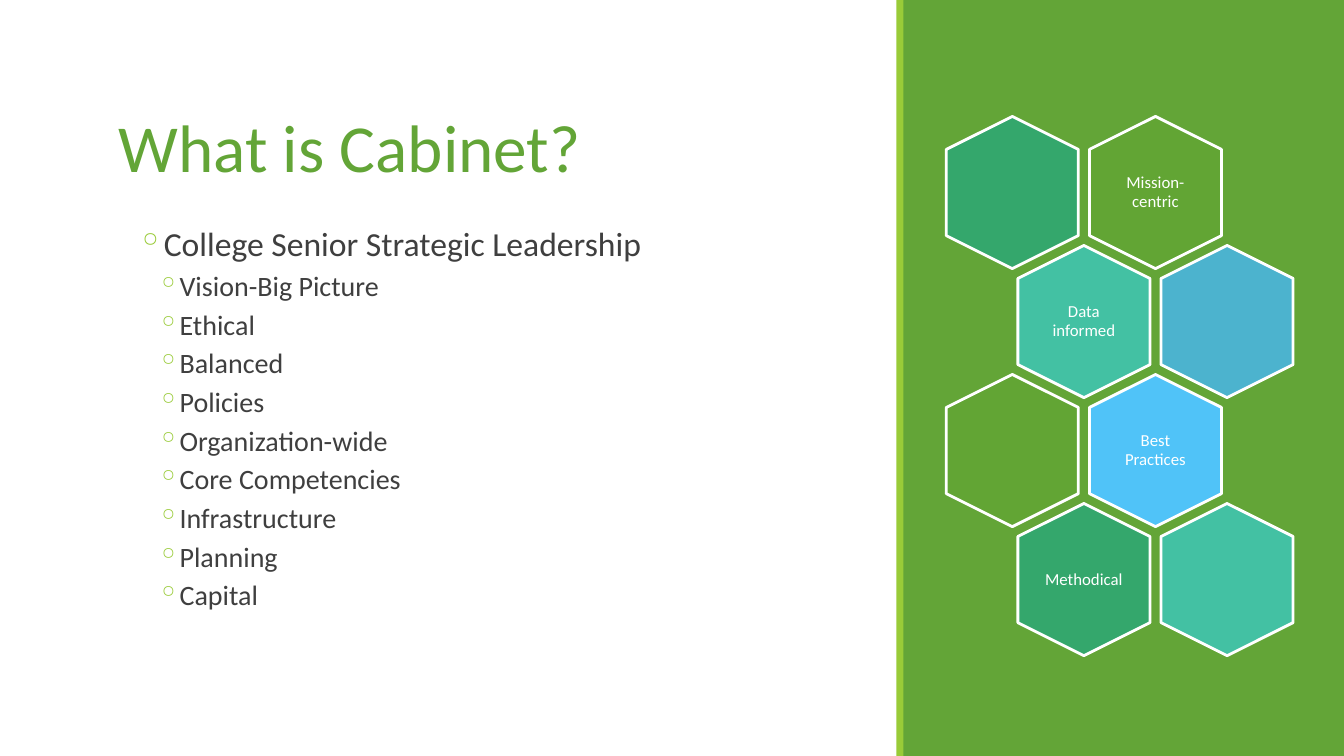
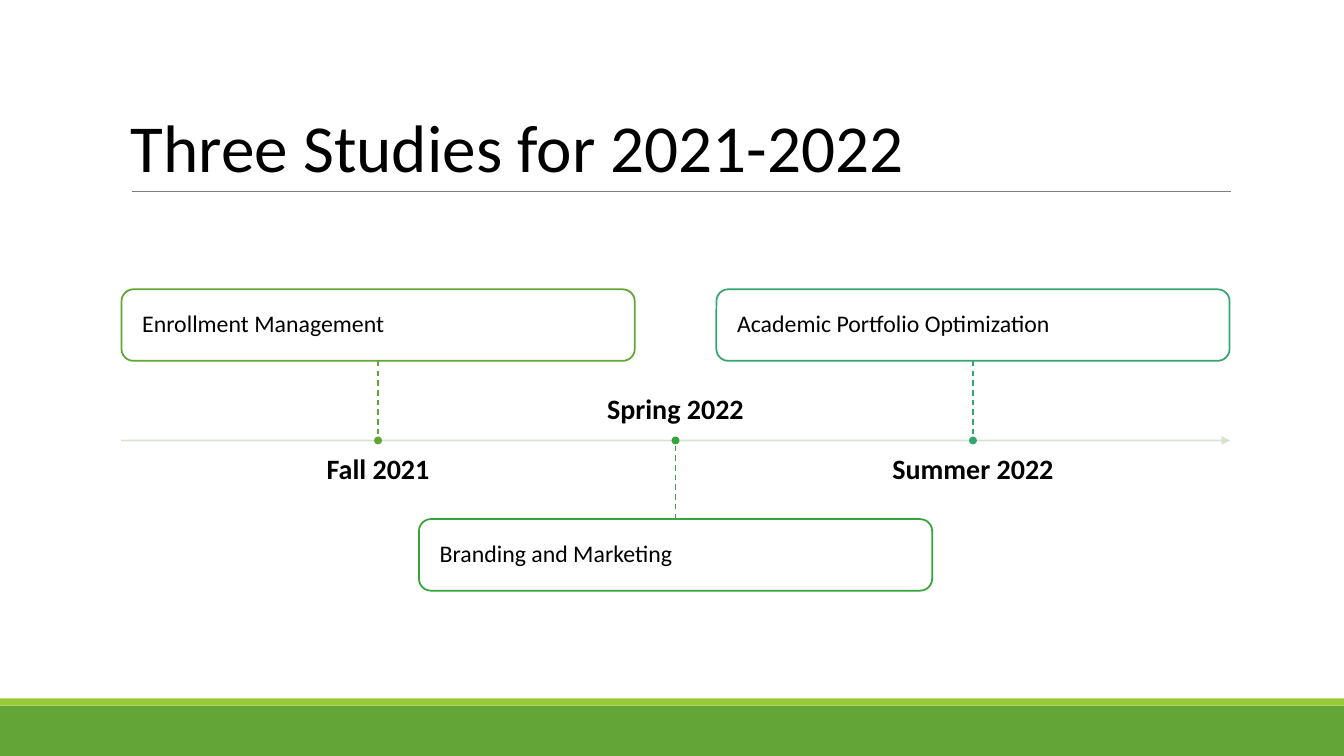
from dataclasses import dataclass

from pptx import Presentation
from pptx.dml.color import RGBColor
from pptx.enum.dml import MSO_LINE
from pptx.enum.shapes import MSO_CONNECTOR, MSO_SHAPE
from pptx.enum.text import MSO_ANCHOR, PP_ALIGN
from pptx.oxml.ns import qn
from pptx.oxml.xmlchemy import OxmlElement
from pptx.util import Inches, Pt


@dataclass(frozen=True)
class Theme:
    font: str = "Calibri"
    white: str = "FFFFFF"
    black: str = "000000"
    body: str = "3F3F3F"
    green: str = "63A537"
    lime: str = "99CB38"
    rule: str = "7F7F7F"
    axis: str = "D2E0CC"
    leaf: str = "62A534"
    emerald: str = "34A76C"
    mint: str = "43C1A3"
    teal: str = "4CB3CE"
    sky: str = "50C3F8"
    fern: str = "35A53B"
    jade: str = "35A66F"
    title_size: int = 48
    lead_size: int = 24
    list_size: int = 20
    date_size: int = 20
    study_size: int = 17
    hexagon_size: int = 12


THEME = Theme()
SLIDE_WIDTH, SLIDE_HEIGHT = 13.33, 7.5
BAND = 0.07


def rgb(value):
    return RGBColor.from_string(value)


def set_opacity(properties, percent):
    """Make the solid colour below these properties partly transparent."""
    alpha = OxmlElement("a:alpha")
    alpha.set("val", str(percent * 1000))
    properties.find(qn("a:solidFill"))[0].append(alpha)


# Basic elements
def add_shape(page, kind, place, fill, line=None, width=1.25):
    shape = page.shapes.add_shape(kind, *map(Inches, place))
    shape.shadow.inherit = False
    shape.fill.solid()
    shape.fill.fore_color.rgb = rgb(fill)
    if line:
        shape.line.color.rgb = rgb(line)
        shape.line.width = Pt(width)
    else:
        shape.line.fill.background()
    return shape


def add_line(page, start, end, color, width):
    line = page.shapes.add_connector(MSO_CONNECTOR.STRAIGHT, *map(Inches, start + end))
    line.line.color.rgb = rgb(color)
    line.line.width = Pt(width)
    line._element.spPr.append(OxmlElement("a:effectLst"))
    return line


def set_frame(frame, margins, anchor):
    frame.word_wrap = True
    frame.vertical_anchor = anchor
    frame.margin_left = frame.margin_right = Inches(margins[0])
    frame.margin_top = frame.margin_bottom = Inches(margins[1])


def format_paragraph(paragraph, size, color, align=PP_ALIGN.LEFT, bold=False, spacing=0.9):
    paragraph.alignment = align
    paragraph.line_spacing = spacing
    for span in paragraph.runs:
        span.font.name = THEME.font
        span.font.size = Pt(size)
        span.font.bold = bold
        span.font.color.rgb = rgb(color)


def add_text(page, place, text, size, color, margins=(0, 0),
             anchor=MSO_ANCHOR.TOP, **style):
    box = page.shapes.add_textbox(*map(Inches, place))
    set_frame(box.text_frame, margins, anchor)
    box.text_frame.text = text
    for paragraph in box.text_frame.paragraphs:
        format_paragraph(paragraph, size, color, **style)
    return box


# Parts shared by the slides
def add_title(page, left, width, text, color):
    add_text(page, (left, 0.31, width, 1.59), text, THEME.title_size, color,
             (0.1, 0.05), MSO_ANCHOR.BOTTOM, spacing=0.85)


def add_band(page, panel, edge):
    add_shape(page, MSO_SHAPE.RECTANGLE, panel, THEME.green)
    add_shape(page, MSO_SHAPE.RECTANGLE, edge, THEME.lime)


# Bulleted list
def add_bullet(paragraph, indent):
    properties = paragraph._p.get_or_add_pPr()
    properties.set("marL", str(Inches(indent)))
    properties.set("indent", str(Inches(-0.2)))
    bullet_color = OxmlElement("a:buClr")
    value = OxmlElement("a:srgbClr")
    value.set("val", THEME.lime)
    bullet_color.append(value)
    bullet = OxmlElement("a:buChar")
    bullet.set("char", "◦")
    properties.extend([bullet_color, bullet])


def add_list(page, place, lead, items):
    box = page.shapes.add_textbox(*map(Inches, place))
    frame = box.text_frame
    set_frame(frame, (0, 0.05), MSO_ANCHOR.TOP)
    frame.text = "\n".join([lead, *items])
    for index, paragraph in enumerate(frame.paragraphs):
        add_bullet(paragraph, 0.62 if index else 0.42)
        if index:
            paragraph.level = 1
            paragraph.space_before = Pt(6)
        format_paragraph(paragraph, THEME.list_size if index else THEME.lead_size, THEME.body)


# Honeycomb of values
def add_hexagon(page, center_x, center_y, fill, label):
    length, breadth = 1.51, 1.31
    place = (center_x - length / 2, center_y - breadth / 2, length, breadth)
    hexagon = add_shape(page, MSO_SHAPE.HEXAGON, place, fill, THEME.white, 2)
    hexagon.adjustments[0] = 0.25
    hexagon.rotation = 90
    if label:
        add_text(page, (center_x - 0.45, center_y - 0.52, 0.9, 1.04), label,
                 THEME.hexagon_size, THEME.white, (0.05, 0.05),
                 MSO_ANCHOR.MIDDLE, align=PP_ALIGN.CENTER)


def add_honeycomb(page, rows):
    for row, cells in enumerate(rows):
        for column, (fill, label) in enumerate(cells):
            center_x = 10.04 + 1.42 * column + 0.71 * (row % 2)
            add_hexagon(page, center_x, 1.91 + 1.28 * row, fill, label)


# Timeline
def add_axis(page, left, right, level):
    axis = add_line(page, (left, level), (right, level), THEME.axis, 1.25)
    outline = axis._element.spPr.find(qn("a:ln"))
    set_opacity(outline, 90)
    arrowhead = OxmlElement("a:tailEnd")
    arrowhead.set("type", "triangle")
    outline.append(arrowhead)


def add_milestone(page, center, level, date, study, color, above):
    width, height, dot = 5.09, 0.71, 0.06
    top = level - 1.5 if above else level + 0.78
    box = add_shape(page, MSO_SHAPE.ROUNDED_RECTANGLE,
                    (center - width / 2, top, width, height), THEME.white, color)
    set_opacity(box._element.spPr, 90)
    set_frame(box.text_frame, (0.17, 0.17), MSO_ANCHOR.MIDDLE)
    box.text_frame.text = study
    format_paragraph(box.text_frame.paragraphs[0], THEME.study_size, THEME.black)

    stem = add_line(page, (center, top), (center, level), color, 1)
    stem.line.dash_style = MSO_LINE.DASH
    stem.begin_connect(box, 2 if above else 0)
    add_shape(page, MSO_SHAPE.OVAL,
              (center - dot / 2, level - dot / 2, dot, dot), color, color)

    # The date sits across the axis from its study
    date_top = level + 0.15 if above else level - 0.62
    add_text(page, (center - 2.24, date_top, 4.48, 0.47), date, THEME.date_size,
             THEME.black, anchor=MSO_ANCHOR.TOP if above else MSO_ANCHOR.BOTTOM,
             align=PP_ALIGN.CENTER, bold=True)


# Slides
def build_cabinet(page):
    add_title(page, 1.08, 7.38, "What is Cabinet?", THEME.green)
    add_list(page, (1.14, 2.21, 7.32, 4.21), "College Senior Strategic Leadership", [
        "Vision-Big Picture", "Ethical", "Balanced", "Policies", "Organization-wide",
        "Core Competencies", "Infrastructure", "Planning", "Capital"])
    add_band(page, (8.91, 0, SLIDE_WIDTH - 8.91, SLIDE_HEIGHT), (8.89, 0, BAND, SLIDE_HEIGHT))
    add_honeycomb(page, [
        [(THEME.emerald, ""), (THEME.leaf, "Mission-centric")],
        [(THEME.mint, "Data informed"), (THEME.teal, "")],
        [(THEME.leaf, ""), (THEME.sky, "Best Practices")],
        [(THEME.emerald, "Methodical"), (THEME.mint, "")]])


def build_studies(page):
    add_band(page, (0, 7, SLIDE_WIDTH, 0.5), (0, 7 - BAND, SLIDE_WIDTH, BAND))
    add_line(page, (1.31, 1.9), (12.21, 1.9), THEME.rule, 0.75)
    add_title(page, 1.2, 11, "Three Studies for 2021-2022", THEME.black)
    level = 4.37
    add_axis(page, 1.2, 12.2, level)
    milestones = [("Fall 2021", "Enrollment Management", THEME.leaf),
                  ("Spring 2022", "Branding and Marketing", THEME.fern),
                  ("Summer 2022", "Academic Portfolio Optimization", THEME.jade)]
    for index, (date, study, color) in enumerate(milestones):
        add_milestone(page, 3.75 + 2.95 * index, level, date, study, color, index % 2 == 0)


def main():
    deck = Presentation()
    deck.slide_width = Inches(SLIDE_WIDTH)
    deck.slide_height = Inches(SLIDE_HEIGHT)
    for build in (build_cabinet, build_studies):
        build(deck.slides.add_slide(deck.slide_layouts[6]))
    deck.save("out.pptx")


if __name__ == "__main__":
    main()
